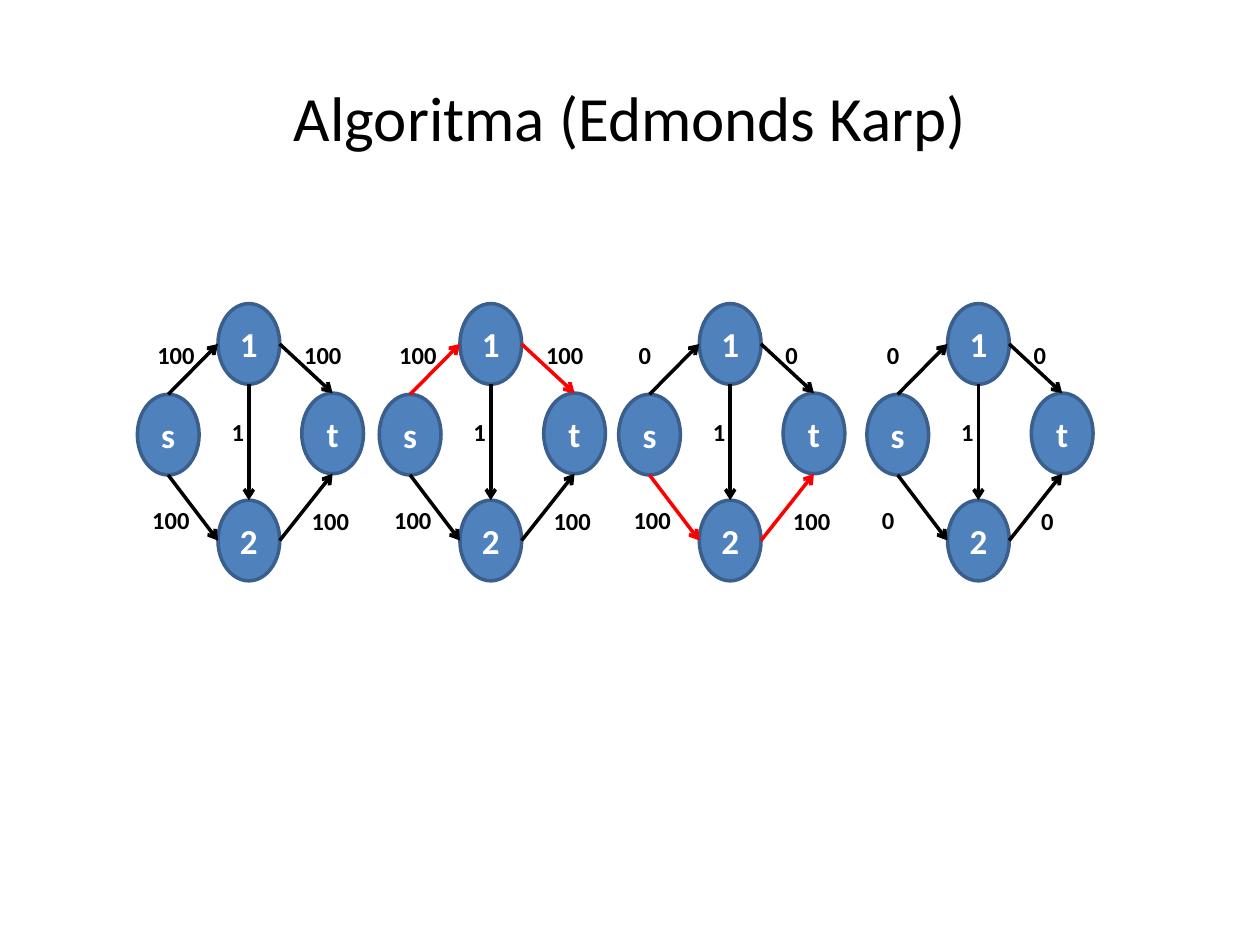
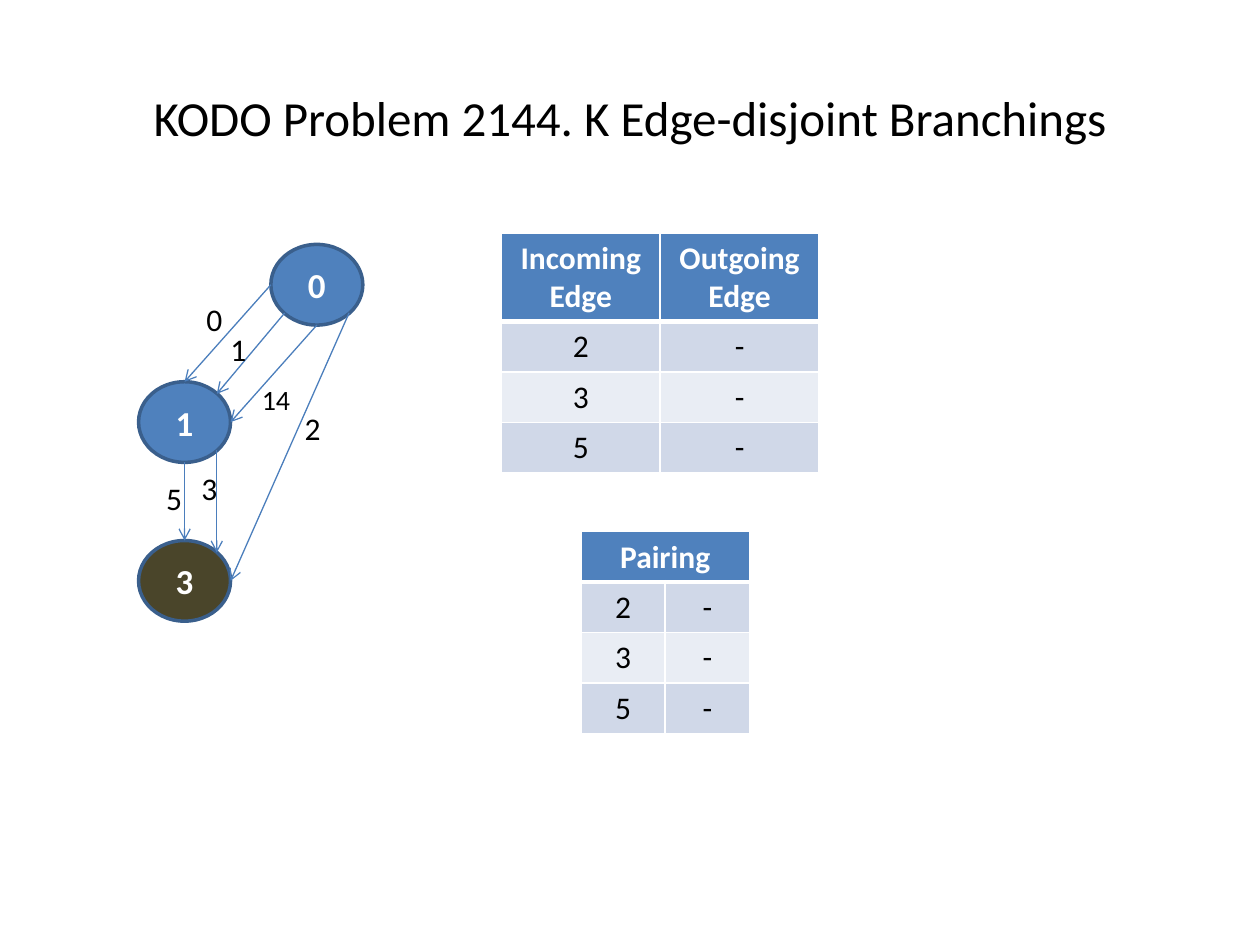
import pptx
import pptx.dml.color
import pptx.enum.shapes
import pptx.enum.text
import pptx.oxml
import pptx.oxml.ns
import pptx.util

RGBColor = pptx.dml.color.RGBColor
BLACK = RGBColor(0x00, 0x00, 0x00)
WHITE = RGBColor(0xFF, 0xFF, 0xFF)
RED = RGBColor(0xFF, 0x00, 0x00)
BLUE = RGBColor(0x4F, 0x81, 0xBD)
DARK_BLUE = RGBColor(0x3A, 0x5F, 0x8C)
EDGE_BLUE = RGBColor(0x4B, 0x7E, 0xBC)
OLIVE = RGBColor(0x4A, 0x45, 0x2A)
BAND_DARK = RGBColor(0xD0, 0xD8, 0xE8)
BAND_LIGHT = RGBColor(0xE9, 0xED, 0xF4)

FONT = "Calibri"
COLUMNS, ROWS = 100, 75
CENTER = pptx.enum.text.PP_ALIGN.CENTER
MIDDLE = pptx.enum.text.MSO_ANCHOR.MIDDLE

# Places on a node's rim, as shares of its width and height
NEAR, FAR = 0.15, 0.85
SIDES = {
    "top": (0.5, 0), "bottom": (0.5, 1), "left": (0, 0.5), "right": (1, 0.5),
    "top right": (FAR, NEAR), "bottom left": (NEAR, FAR), "bottom right": (FAR, FAR),
}


class Deck:
    """Style and current slide; lengths are grid columns and rows."""

    def __init__(self):
        self.presentation = pptx.Presentation()
        self.presentation.slide_width = pptx.util.Inches(10)
        self.presentation.slide_height = pptx.util.Inches(7.5)
        self.column = self.presentation.slide_width / COLUMNS
        self.row = self.presentation.slide_height / ROWS

    def add_slide(self, title, size):
        layout = self.presentation.slide_layouts[6]
        self.slide = self.presentation.slides.add_slide(layout)
        self.shapes = self.slide.shapes
        frame = self.label(title, (5, 3, 90, 12.5), size)
        frame.vertical_anchor = MIDDLE
        frame.paragraphs[0].alignment = CENTER

    def start_group(self):
        self.shapes = self.slide.shapes.add_group_shape().shapes

    def place(self, box):
        left, top, width, height = box
        return (round(left * self.column), round(top * self.row),
                round(width * self.column), round(height * self.row))

    def set_text(self, frame, text, size, color, bold=False):
        frame.text = text
        for run in frame.paragraphs[0].runs:
            run.font.name = FONT
            run.font.size = pptx.util.Pt(size)
            run.font.bold = bold
            run.font.color.rgb = color

    def label(self, text, box, size, bold=False):
        frame = self.shapes.add_textbox(*self.place(box)).text_frame
        frame.word_wrap = True
        self.set_text(frame, text, size, BLACK, bold)
        return frame

    def node(self, text, box, fill=BLUE):
        oval = pptx.enum.shapes.MSO_SHAPE.OVAL
        shape = self.shapes.add_shape(oval, *self.place(box))
        shape.shadow.inherit = False
        shape.fill.solid()
        shape.fill.fore_color.rgb = fill
        shape.line.color.rgb = DARK_BLUE
        shape.line.width = pptx.util.Pt(2)
        frame = shape.text_frame
        frame.margin_left = frame.margin_right = 0
        frame.vertical_anchor = MIDDLE
        self.set_text(frame, text, 20, WHITE, True)
        frame.paragraphs[0].alignment = CENTER

    def rim_point(self, box, side):
        left, top, width, height = box
        across, down = SIDES[side]
        return (round((left + across * width) * self.column),
                round((top + down * height) * self.row))

    def arrow(self, start_box, start_side, end_box, end_side, color, width):
        connector = self.shapes.add_connector(
            pptx.enum.shapes.MSO_CONNECTOR.STRAIGHT,
            *self.rim_point(start_box, start_side),
            *self.rim_point(end_box, end_side))
        connector.line.color.rgb = color
        connector.line.width = pptx.util.Pt(width)
        properties = connector._element.spPr
        line = properties.find(pptx.oxml.ns.qn("a:ln"))
        line.append(self.element('<a:tailEnd %s type="arrow"/>'))
        properties.append(self.element("<a:effectLst %s/>"))

    def element(self, markup):
        return pptx.oxml.parse_xml(markup % pptx.oxml.ns.nsdecls("a"))

    def border(self, cell, edge, width):
        cell._tc.get_or_add_tcPr().append(self.element(
            f'<a:{edge} %s w="{pptx.util.Pt(width)}"><a:solidFill>'
            f'<a:srgbClr val="{WHITE}"/></a:solidFill></a:{edge}>'))

    def table(self, box, header_height, header, rows):
        content = [header] + rows
        table = self.shapes.add_table(
            len(content), len(header), *self.place(box)).table
        body_height = (box[3] - header_height) / len(rows)
        for row_index, values in enumerate(content):
            heading = row_index == 0
            height = header_height if heading else body_height
            table.rows[row_index].height = round(height * self.row)
            band = BAND_DARK if row_index % 2 else BAND_LIGHT
            for column_index, value in enumerate(values):
                cell = table.cell(row_index, column_index)
                self.border(cell, "lnL", 1)
                self.border(cell, "lnR", 1)
                self.border(cell, "lnT", 3 if row_index == 1 else 1)
                self.border(cell, "lnB", 3 if heading else 1)
                cell.fill.solid()
                cell.fill.fore_color.rgb = BLUE if heading else band
                self.set_text(cell.text_frame, value, 18,
                              WHITE if heading else BLACK, heading)
                cell.text_frame.paragraphs[0].alignment = CENTER
        return table


deck = Deck()

# Slide 1: four stages of the same flow network
NETWORK = {"s": (0, 31.3), "2": (6.4, 39.7), "t": (13.05, 31.2), "1": (6.4, 24.1)}
EDGES = [
    ("1", "bottom", "2", "top"),
    ("s", "bottom", "2", "left"),
    ("s", "top", "1", "left"),
    ("2", "right", "t", "bottom"),
    ("1", "right", "t", "top"),
]
# Left, top and width of each edge's label, in the order of EDGES
LABELS = [(6.5, 32.6, 5.3), (0.2, 39.6, 5.4), (0.6, 26.5, 6.1),
          (12.85, 39.7, 6.1), (12.25, 26.5, 6.1)]
# Left column, capacities in the order of EDGES, nodes on the red path
STAGES = [
    (10.9, ["1", "100", "100", "100", "100"], ""),
    (30.1, ["1", "100", "100", "100", "100"], "s1t"),
    (49.1, ["1", "100", "0", "100", "0"], "s2t"),
    (68.8, ["1", "0", "0", "0", "0"], ""),
]

deck.add_slide("Algoritma (Edmonds Karp)", 36)
for stage_left, capacities, red_path in STAGES:
    deck.start_group()
    boxes = {name: (stage_left + left, top, 4.9, 6.4)
             for name, (left, top) in NETWORK.items()}
    for name, box in boxes.items():
        deck.node(name, box)
    for start, start_side, end, end_side in EDGES:
        color = RED if start + end in red_path else BLACK
        deck.arrow(boxes[start], start_side, boxes[end], end_side, color, 2)
    for capacity, (left, top, width) in zip(capacities, LABELS):
        deck.label(capacity, (stage_left + left, top, width, 3.4), 14, True)

# Slide 2: multigraph with its edge tables
deck.add_slide("KODO Problem 2144. K Edge-disjoint Branchings", 28)
node_0, node_1, node_3 = [(left, top, 7.3, 6.4) for left, top in
                          [(21.5, 19.4), (11, 30.3), (11, 42.9)]]
deck.node("0", node_0)
deck.node("1", node_1)
deck.node("3", node_3, OLIVE)
for start, start_side, end, end_side in [
    (node_0, "bottom left", node_1, "top right"),
    (node_0, "left", node_1, "top"),
    (node_0, "bottom", node_1, "right"),
    (node_1, "bottom", node_3, "top"),
    (node_1, "bottom right", node_3, "top right"),
    (node_0, "bottom right", node_3, "right"),
]:
    deck.arrow(start, start_side, end, end_side, EDGE_BLUE, 0.75)

# Edge numbers
for number, left, top in [("0", 15.4, 23.3), ("1", 17.3, 25.7), ("2", 23.2, 32),
                          ("3", 15, 36.7), ("5", 12.2, 37.5)]:
    deck.label(number, (left, top, 3.5, 4), 18)
deck.label("14", (19.8, 29.9, 5, 3.7), 16)

# Tables
edge_rows = [[number, "-"] for number in "235"]
deck.table((39.8, 18.5, 25.2, 19), 7, ["Incoming Edge", "Outgoing Edge"], edge_rows)
pairing = deck.table((46.1, 42.2, 13.4, 16), 4, ["Pairing", ""], edge_rows)
pairing.cell(0, 0).merge(pairing.cell(0, 1))

deck.presentation.save("out.pptx")
